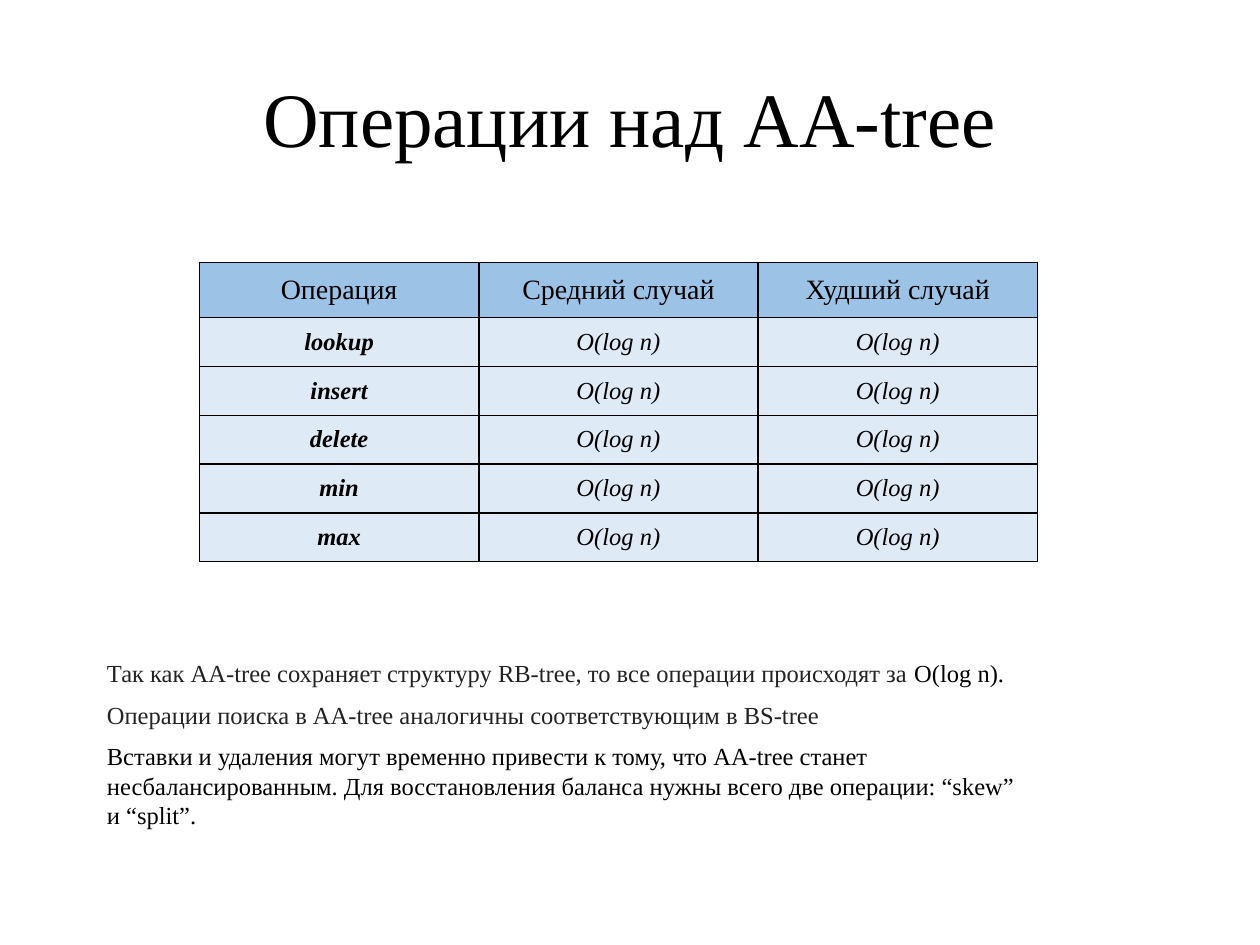
"""Build a slide on the cost of AA-tree operations."""
from lxml import etree
from pptx import Presentation
from pptx.dml.color import RGBColor
from pptx.enum import text
from pptx.oxml import ns
from pptx.util import Pt

FONT = "Times New Roman"
BLACK, GRAY, HEADER_FILL, BODY_FILL = "000000", "222222", "9CC2E5", "DEEAF6"
TITLE = "Операции над AA-tree"
HEADER = ["Операция", "Средний случай", "Худший случай"]
OPERATIONS = ["lookup", "insert", "delete", "min", "max"]
COST = "O(log n)"
NOTES = [
    (372.24, 24.48, text.PP_ALIGN.JUSTIFY, [
        ("Так как AA-tree сохраняет структуру RB-tree, то все операции происходят за ", GRAY),
        ("O(log n).", BLACK)]),
    (396, 24.48, text.PP_ALIGN.JUSTIFY, [
        ("Операции поиска в AA-tree аналогичны соответствующим в BS-tree", GRAY)]),
    (419.76, 58.32, text.PP_ALIGN.LEFT, [
        ("Вставки и удаления могут временно привести к тому, что AA-tree станет "
         "несбалансированным. Для восстановления баланса нужны всего две операции: "
         "“skew” и “split”.", BLACK)]),
]
TABLE_LEFT, TABLE_TOP, COLUMN_WIDTH = 114, 150, 159.6
ROW_HEIGHTS = [31.5] + [27.9] * len(OPERATIONS)


def color(value):
    return RGBColor.from_string(value)


def write(paragraph, runs, size, align, bold=False, italic=False):
    paragraph.alignment = align
    font = paragraph.font
    font.name, font.size, font.bold, font.italic = FONT, Pt(size), bold, italic
    for words, shade in runs:
        run = paragraph.add_run()
        run.text = words
        run.font.color.rgb = color(shade)


def add_words(slide, box, runs, size, align):
    frame = slide.shapes.add_textbox(*map(Pt, box)).text_frame
    frame.word_wrap = True
    frame.vertical_anchor = text.MSO_ANCHOR.MIDDLE
    write(frame.paragraphs[0], runs, size, align)


def style_cell(cell, fill):
    cell.vertical_anchor = text.MSO_ANCHOR.MIDDLE
    cell.margin_left = cell.margin_right = Pt(5.4)
    cell.margin_top = cell.margin_bottom = Pt(0)
    properties = cell._tc.get_or_add_tcPr()
    for side in ("lnL", "lnR", "lnT", "lnB"):
        border = etree.SubElement(properties, ns.qn(f"a:{side}"), w=str(Pt(1)))
        paint = etree.SubElement(border, ns.qn("a:solidFill"))
        etree.SubElement(paint, ns.qn("a:srgbClr"), val=BLACK)
    cell.fill.solid()
    cell.fill.fore_color.rgb = color(fill)


def add_costs(slide):
    rows = [HEADER] + [[name, COST, COST] for name in OPERATIONS]
    costs = slide.shapes.add_table(
        len(rows), len(HEADER), Pt(TABLE_LEFT), Pt(TABLE_TOP),
        Pt(COLUMN_WIDTH * len(HEADER)), Pt(sum(ROW_HEIGHTS))).table
    for column in costs.columns:
        column.width = Pt(COLUMN_WIDTH)
    for r, (row, height) in enumerate(zip(rows, ROW_HEIGHTS)):
        costs.rows[r].height = Pt(height)
        body = r > 0
        for c, words in enumerate(row):
            cell = costs.cell(r, c)
            style_cell(cell, BODY_FILL if body else HEADER_FILL)
            write(cell.text_frame.paragraphs[0], [(words, BLACK)], 14 if body else 16,
                  text.PP_ALIGN.CENTER, bold=body and c == 0, italic=body)


def main():
    deck = Presentation()
    deck.slide_width, deck.slide_height = Pt(720), Pt(540)
    slide = deck.slides.add_slide(deck.slide_layouts[6])
    add_words(slide, (36, 21.6, 648, 90), [(TITLE, BLACK)], 44, text.PP_ALIGN.CENTER)
    add_costs(slide)
    for top, height, align, runs in NOTES:
        add_words(slide, (54, top, 534.24, height), runs, 14, align)
    deck.save("out.pptx")


if __name__ == "__main__":
    main()
